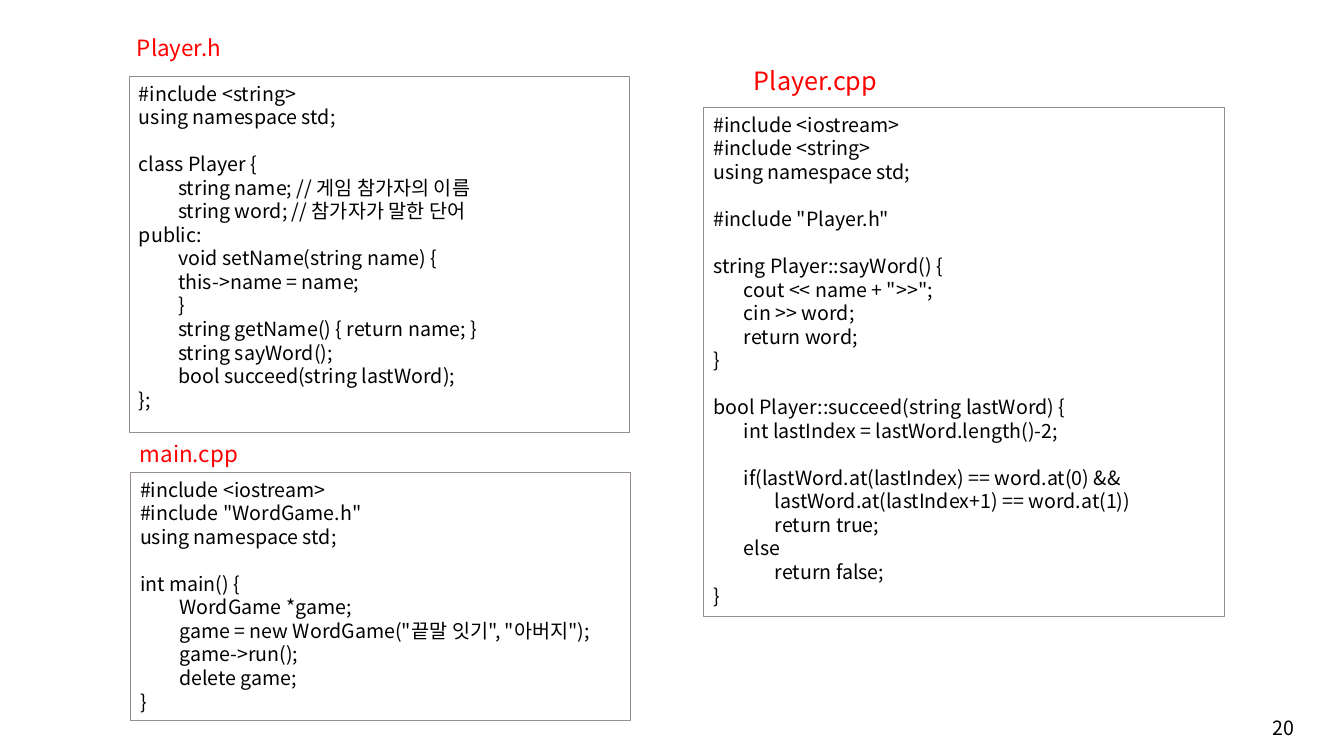
from dataclasses import dataclass
from lxml.etree import SubElement
from pptx import Presentation
from pptx.dml.color import RGBColor as Rgb
from pptx.enum.shapes import MSO_SHAPE as Shape
from pptx.enum.text import MSO_ANCHOR as Anchor, PP_ALIGN as Align
from pptx.oxml.ns import qn
from pptx.util import Inches, Pt


@dataclass(frozen=True)
class Theme:
    font: str = "Noto Sans CJK KR"
    ink: Rgb = Rgb(0, 0, 0)
    heading: Rgb = Rgb(255, 0, 0)
    paper: Rgb = Rgb(255, 255, 255)
    border: Rgb = Rgb(0x96, 0x8C, 0x8C)
    code_size: int = 14
    heading_size: int = 16
    large_heading_size: int = 18
    line_height: float = 1.2


THEME = Theme()
WIDTH, HEIGHT = Inches(13.33), Inches(7.5)

PLAYER_HEADER = """#include <string>
using namespace std;

class Player {
\tstring name; // 게임 참가자의 이름
\tstring word; // 참가자가 말한 단어
public:
\tvoid setName(string name) {
\tthis->name = name;
\t}
\tstring getName() { return name; }
\tstring sayWord();
\tbool succeed(string lastWord);
};"""

MAIN_PROGRAM = """#include <iostream>
#include "WordGame.h"
using namespace std;

int main() {
\tWordGame *game;
\tgame = new WordGame("끝말 잇기", "아버지");
\tgame->run();
\tdelete game;
}"""

PLAYER_SOURCE = """#include <iostream>
#include <string>
using namespace std;

#include "Player.h"

string Player::sayWord() {
\tcout << name + ">>";
\tcin >> word;
\treturn word;
}

bool Player::succeed(string lastWord) {
\tint lastIndex = lastWord.length()-2;

\tif(lastWord.at(lastIndex) == word.at(0) &&
\t       lastWord.at(lastIndex+1) == word.at(1))
\t       return true;
\telse
\t       return false;
}"""


def place(left, top, width, height):
    return (int(WIDTH * left / 100), int(HEIGHT * top / 100),
            int(WIDTH * width / 100), int(HEIGHT * height / 100))


def write_line(paragraph, line, size, color, indent=0.0):
    paragraph.alignment = Align.LEFT
    paragraph.line_spacing = Pt(size * THEME.line_height)
    properties = paragraph._p.get_or_add_pPr()
    if line.startswith("\t"):
        properties.set("marL", "0")
        properties.set("indent", str(Inches(indent)))
    paragraph.text = line.lstrip("\t")
    font = paragraph.font
    font.name, font.size, font.color.rgb = THEME.font, Pt(size), color
    SubElement(properties.find(qn("a:defRPr")), qn("a:ea"), typeface=THEME.font)


def add_label(slide, area, label, size, color):
    frame = slide.shapes.add_textbox(*place(*area)).text_frame
    frame.word_wrap = True
    write_line(frame.paragraphs[0], label, size, color)


def add_code_panel(slide, area, code, indent):
    panel = slide.shapes.add_shape(Shape.RECTANGLE, *place(*area))
    panel.shadow.inherit = False
    panel.fill.solid()
    panel.fill.fore_color.rgb = THEME.paper
    panel.line.color.rgb = THEME.border
    panel.line.width = Pt(0.5)
    frame = panel.text_frame
    frame.word_wrap = True
    frame.vertical_anchor = Anchor.TOP
    for number, line in enumerate(code.split("\n")):
        paragraph = frame.add_paragraph() if number else frame.paragraphs[0]
        write_line(paragraph, line, THEME.code_size, THEME.ink, indent)


def main():
    deck = Presentation()
    deck.slide_width, deck.slide_height = WIDTH, HEIGHT
    slide = deck.slides.add_slide(deck.slide_layouts[6])

    add_label(slide, (93.92, 94, 5.33, 4.53), "20", THEME.code_size, THEME.ink)

    add_code_panel(slide, (9.68, 62.53, 37.21, 32.8), MAIN_PROGRAM, 0.39)
    add_label(slide, (9.68, 57.6, 11.78, 4.93), "main.cpp",
              THEME.heading_size, THEME.heading)

    add_code_panel(slide, (52.36, 14.27, 38.71, 67.33), PLAYER_SOURCE, 0.3)
    add_label(slide, (55.36, 8, 16.5, 5.33), "Player.cpp",
              THEME.large_heading_size, THEME.heading)

    add_code_panel(slide, (9.6, 10.13, 37.21, 47.07), PLAYER_HEADER, 0.39)
    add_label(slide, (9.45, 3.87, 11.78, 4.93), "Player.h",
              THEME.heading_size, THEME.heading)

    deck.save("out.pptx")


if __name__ == "__main__":
    main()
